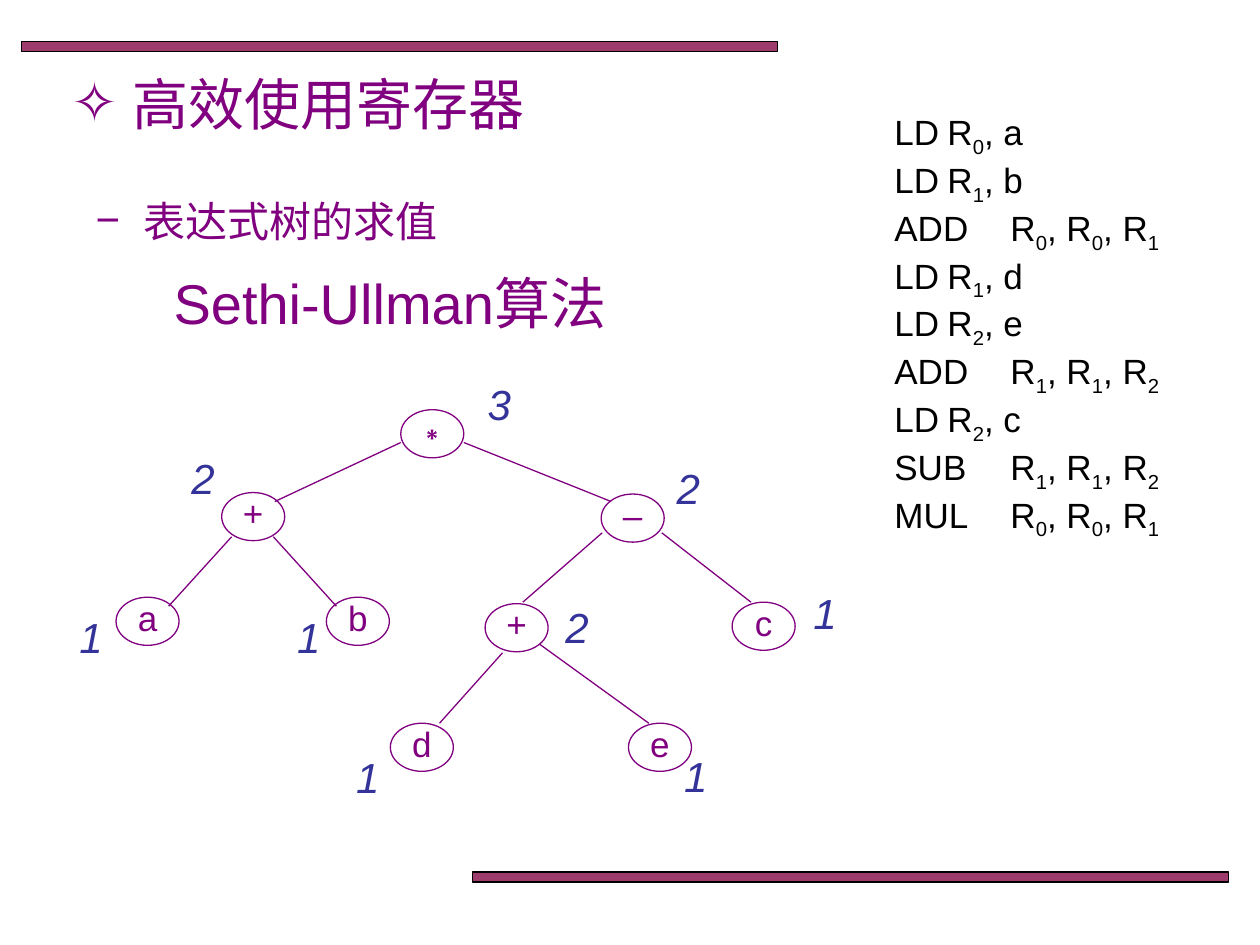
from itertools import groupby

from lxml.etree import SubElement
from pptx import Presentation
from pptx.dml.color import RGBColor
from pptx.enum.shapes import MSO_CONNECTOR, MSO_SHAPE
from pptx.enum.text import MSO_ANCHOR, MSO_AUTO_SIZE, PP_ALIGN
from pptx.oxml.ns import qn
from pptx.util import Cm, Pt

PURPLE = RGBColor(0x80, 0x00, 0x80)
PLUM = RGBColor(0x99, 0x33, 0x66)
BLUE = RGBColor(0x33, 0x33, 0x99)
BLACK = RGBColor(0x00, 0x00, 0x00)

HEADING = {"size": Pt(32), "name": "Arial", "color": PURPLE}
SUBHEADING = {**HEADING, "size": Pt(24)}
NODE_TEXT = {**HEADING, "size": Pt(20)}
LABEL_TEXT = {**SUBHEADING, "color": BLUE, "italic": True}
CODE_TEXT = {**NODE_TEXT, "color": BLACK}

BARS = [(0.43, 0.84), (9.53, 17.58)]

# Operator or operand, node position, label, label position
NODES = [
    ("∗", (8.08, 8.26), "3", (9.58, 7.82)),
    ("+", (4.47, 9.93), "2", (3.61, 9.32)),
    ("–", (12.12, 9.96), "2", (13.39, 9.53)),
    ("a", (2.34, 12.04), "1", (1.35, 12.52)),
    ("b", (6.58, 12.04), "1", (5.74, 12.52)),
    ("+", (9.78, 12.17), "2", (11.15, 12.32)),
    ("c", (14.76, 12.14), "1", (16.15, 12.04)),
    ("d", (7.87, 14.58), "1", (6.93, 15.34)),
    ("e", (12.67, 14.58), "1", (13.54, 15.32)),
]

EDGES = [
    (8.08, 8.92, 5.54, 10.11),
    (9.35, 8.92, 12.32, 10.11),
    (4.67, 10.82, 3.4, 12.22),
    (5.51, 10.82, 6.78, 12.22),
    (12.14, 10.74, 10.54, 12.14),
    (13.34, 10.74, 15.14, 12.14),
    (10.13, 13.16, 8.86, 14.58),
    (10.87, 12.98, 13.08, 14.58),
]

# Digits are set as subscripts
INSTRUCTIONS = [
    ("LD", "R0, a"),
    ("LD", "R1, b"),
    ("ADD", "R0, R0, R1"),
    ("LD", "R1, d"),
    ("LD", "R2, e"),
    ("ADD", "R1, R1, R2"),
    ("LD", "R2, c"),
    ("SUB", "R1, R1, R2"),
    ("MUL", "R0, R0, R1"),
]


def add_run(p, text, style):
    r = p.add_run()
    r.text = text
    for key, value in style.items():
        if key == "color":
            r.font.color.rgb = value
        else:
            setattr(r.font, key, value)
    return r


def set_indent(p, margin, first_line):
    pPr = p._p.get_or_add_pPr()
    pPr.set("marL", str(Cm(margin)))
    pPr.set("indent", str(Cm(first_line)))
    return pPr


def add_bullet(p, char, hanging):
    pPr = set_indent(p, hanging, -hanging)
    color = SubElement(SubElement(pPr, qn("a:buClr")), qn("a:srgbClr"))
    color.set("val", str(PURPLE))
    SubElement(pPr, qn("a:buFont")).set("typeface", "Arial")
    SubElement(pPr, qn("a:buChar")).set("char", char)


def add_tab_stop(p, position):
    tabs = SubElement(p._p.get_or_add_pPr(), qn("a:tabLst"))
    tab = SubElement(tabs, qn("a:tab"))
    tab.set("pos", str(Cm(position)))
    tab.set("algn", "l")


def add_text_box(slide, left, top, width, height):
    box = slide.shapes.add_textbox(Cm(left), Cm(top), Cm(width), Cm(height))
    box.text_frame.word_wrap = True
    return box.text_frame


def add_bar(slide, left, top):
    bar = slide.shapes.add_shape(
        MSO_SHAPE.RECTANGLE, Cm(left), Cm(top), Cm(15.24), Cm(0.2))
    bar.shadow.inherit = False
    bar.fill.solid()
    bar.fill.fore_color.rgb = PLUM
    color = bar._element.spPr.find(qn("a:solidFill")).find(qn("a:srgbClr"))
    SubElement(color, qn("a:alpha")).set("val", "96000")
    bar.line.color.rgb = BLACK
    bar.line.width = Pt(0.75)


def set_title(slide):
    title = slide.shapes.title
    title.left, title.top, title.width, title.height = (
        Cm(1.19), Cm(1.27), Cm(10.39), Cm(1.63))
    tf = title.text_frame
    tf.auto_size = MSO_AUTO_SIZE.NONE
    tf.vertical_anchor = MSO_ANCHOR.TOP
    p = tf.paragraphs[0]
    p.alignment = PP_ALIGN.LEFT
    add_bullet(p, "✧", 1.22)
    add_run(p, "高效使用寄存器", HEADING)


def add_topic(slide):
    tf = add_text_box(slide, 1.68, 3.81, 11.4, 3.12)
    p = tf.paragraphs[0]
    add_bullet(p, "−", 0.97)
    add_run(p, "表达式树的求值", SUBHEADING)
    p = tf.add_paragraph()
    p.space_before = Pt(13)
    set_indent(p, 1.57, 0)
    add_run(p, "Sethi-Ullman算法", HEADING)


def add_edge(slide, x1, y1, x2, y2):
    line = slide.shapes.add_connector(
        MSO_CONNECTOR.STRAIGHT, Cm(x1), Cm(y1), Cm(x2), Cm(y2))
    line.line.color.rgb = PURPLE
    line.line.width = Pt(0.75)
    SubElement(line._element.spPr, qn("a:effectLst"))


def write_symbol(tf, text, style, alignment):
    tf.margin_top = tf.margin_bottom = 0
    p = tf.paragraphs[0]
    p.alignment = alignment
    p.line_spacing = 0.8
    add_run(p, text, style)


def add_node(slide, text, left, top):
    sp = slide.shapes.add_shape(
        MSO_SHAPE.OVAL, Cm(left), Cm(top), Cm(1.27), Cm(0.97))
    sp.shadow.inherit = False
    sp.fill.background()
    sp.line.color.rgb = PURPLE
    sp.line.width = Pt(0.75)
    tf = sp.text_frame
    tf.word_wrap = False
    tf.vertical_anchor = MSO_ANCHOR.MIDDLE
    write_symbol(tf, text, NODE_TEXT, PP_ALIGN.CENTER)


def add_label(slide, text, left, top):
    tf = add_text_box(slide, left, top, 0.99, 0.81)
    write_symbol(tf, text, LABEL_TEXT, PP_ALIGN.LEFT)


def add_code(slide):
    tf = add_text_box(slide, 16.31, 2.11, 7.59, 7.95)
    for i, (op, operands) in enumerate(INSTRUCTIONS):
        p = tf.add_paragraph() if i else tf.paragraphs[0]
        set_indent(p, 0, 1.47)
        add_tab_stop(p, 3.15 if op == "LD" else 3.73)
        for is_index, chars in groupby(f"{op}\t{operands}", str.isdigit):
            r = add_run(p, "".join(chars), CODE_TEXT)
            if is_index:
                r._r.get_or_add_rPr().set("baseline", "-25000")


def main():
    prs = Presentation()
    prs.slide_width, prs.slide_height = Cm(25.4), Cm(19.05)
    slide = prs.slides.add_slide(prs.slide_layouts[5])
    for bar in BARS:
        add_bar(slide, *bar)
    set_title(slide)
    add_topic(slide)
    for edge in EDGES:
        add_edge(slide, *edge)
    for symbol, node_at, label, label_at in NODES:
        add_node(slide, symbol, *node_at)
        add_label(slide, label, *label_at)
    add_code(slide)
    prs.save("out.pptx")


if __name__ == "__main__":
    main()
